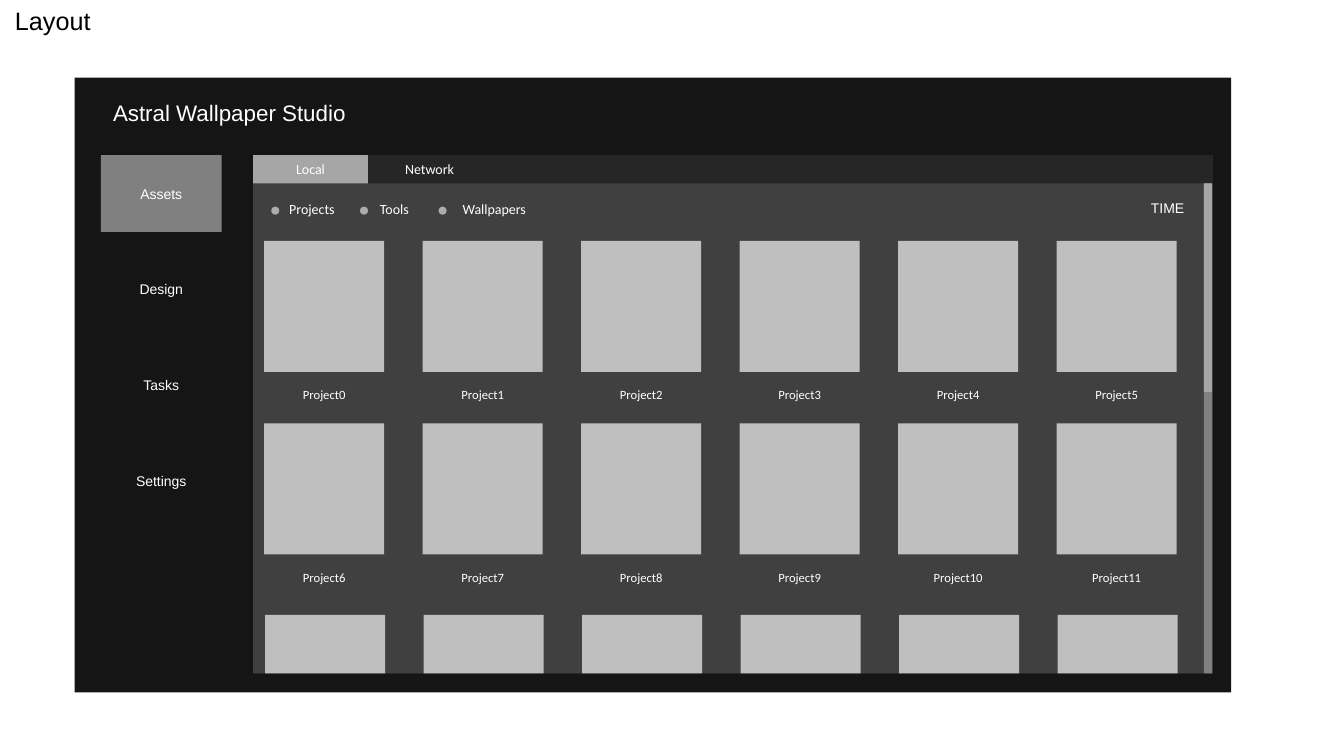
from dataclasses import dataclass

from pptx import Presentation
from pptx.dml.color import RGBColor
from pptx.enum.shapes import MSO_SHAPE
from pptx.enum.text import MSO_ANCHOR, PP_ALIGN
from pptx.util import Inches, Pt

RECT, OVAL = MSO_SHAPE.RECTANGLE, MSO_SHAPE.OVAL
TOP, MIDDLE = MSO_ANCHOR.TOP, MSO_ANCHOR.MIDDLE
LEFT, CENTER = PP_ALIGN.LEFT, PP_ALIGN.CENTER


@dataclass(frozen=True)
class Theme:
    heading_font: str = "Arial"
    body_font: str = "Calibri"
    heading: int = 18
    app_name: int = 16
    control: int = 10
    caption: int = 9
    ink: str = "000000"
    light: str = "FFFFFF"
    window: str = "151515"
    tab_bar: str = "262626"
    panel: str = "404040"
    selected: str = "808080"
    active: str = "A6A6A6"
    card: str = "BFBFBF"
    dot: str = "AFABAB"


class Mockup:
    """Draws the parts of a screen layout on one slide."""

    def __init__(self, slide, theme):
        self.s = slide
        self.theme = theme

    def block(self, x, y, w, h, color, kind=RECT):
        sp = self.s.shapes.add_shape(kind, Inches(x), Inches(y), Inches(w), Inches(h))
        sp.shadow.inherit = False
        sp.fill.solid()
        sp.fill.fore_color.rgb = RGBColor.from_string(color)
        sp.line.fill.background()
        return sp

    def label(self, x, y, w, h, text, size, font, **style):
        sp = self.s.shapes.add_textbox(Inches(x), Inches(y), Inches(w), Inches(h))
        self.set_text(sp, text, size, font, **style)

    def set_text(self, sp, text, size, font, color=None, align=CENTER, anchor=MIDDLE):
        tf = sp.text_frame
        tf.word_wrap = True
        tf.vertical_anchor = anchor
        p = tf.paragraphs[0]
        p.text = text
        p.alignment = align
        p.font.size = Pt(size)
        p.font.name = font
        p.font.color.rgb = RGBColor.from_string(color or self.theme.light)

    def menu(self, x, y, step, items):
        """Stack the menu entries, with the first one selected."""
        t = self.theme
        w, h = 1.2, 0.76
        for i, item in enumerate(items):
            if i == 0:
                sp = self.block(x, y, w, h, t.selected)
                self.set_text(sp, item, t.control, t.heading_font)
            else:
                self.label(x, y + i * step, w, h, item, t.control, t.heading_font)

    def tabs(self, x, y, step, items):
        """Lay out the tabs, with the first one active."""
        t = self.theme
        w, h = 1.14, 0.29
        for i, item in enumerate(items):
            if i == 0:
                sp = self.block(x, y, w, h, t.active)
                self.set_text(sp, item, t.control, t.body_font, anchor=TOP)
            else:
                self.label(x + i * step, y, w, h, item, t.control, t.body_font, anchor=TOP)

    def card_row(self, x, y, h, names=(), count=6):
        t = self.theme
        w, last_offset = 1.19, 7.86
        step = last_offset / (count - 1)
        for i in range(count):
            self.block(x + i * step, y, w, h, t.card)
        for i, name in enumerate(names):
            self.label(x + i * step, y + 1.41, w, 0.23, name, t.caption, t.body_font)

    def category(self, dot_x, text_x, y, text):
        t = self.theme
        self.block(dot_x, y + 0.11, 0.08, 0.08, t.dot, OVAL)
        self.label(text_x, y, 1.14, 0.29, text, t.control, t.body_font,
                   align=LEFT, anchor=TOP)

    def scrollbar(self, x, y, h, thumb):
        self.block(x, y, 0.08, h, self.theme.selected)
        self.block(x, y, 0.08, thumb, self.theme.active)


def main():
    prs = Presentation()
    prs.slide_width, prs.slide_height = Inches(13.33), Inches(7.5)
    t = Theme()
    m = Mockup(prs.slides.add_slide(prs.slide_layouts[6]), t)

    m.label(0.05, 0, 4.44, 0.4, "Layout", t.heading, t.heading_font,
            color=t.ink, align=LEFT, anchor=TOP)
    m.block(0.74, 0.77, 11.47, 6.1, t.window)
    m.label(0.74, 0.77, 3.07, 0.69, "Astral Wallpaper Studio", t.app_name, t.heading_font)
    m.menu(1, 1.54, 0.95, ["Assets", "Design", "Tasks", "Settings"])

    m.block(2.51, 1.54, 9.52, 5.14, t.tab_bar)
    m.tabs(2.51, 1.54, 1.18, ["Local", "Network"])
    m.block(2.51, 1.82, 9.52, 4.86, t.panel)

    for row, y in enumerate((2.39, 4.2)):
        m.card_row(2.62, y, 1.3, [f"Project{row * 6 + i}" for i in range(6)])
    m.card_row(2.63, 6.1, 0.58)

    m.scrollbar(11.94, 1.82, 4.86, 2.07)
    m.label(11.28, 1.93, 0.6, 0.3, "TIME", t.control, t.heading_font, anchor=TOP)
    for dot_x, text_x, text in ((2.69, 2.77, "Projects"),
                                (3.57, 3.67, "Tools"),
                                (4.35, 4.49, "Wallpapers")):
        m.category(dot_x, text_x, 1.94, text)

    prs.save("out.pptx")


if __name__ == "__main__":
    main()
